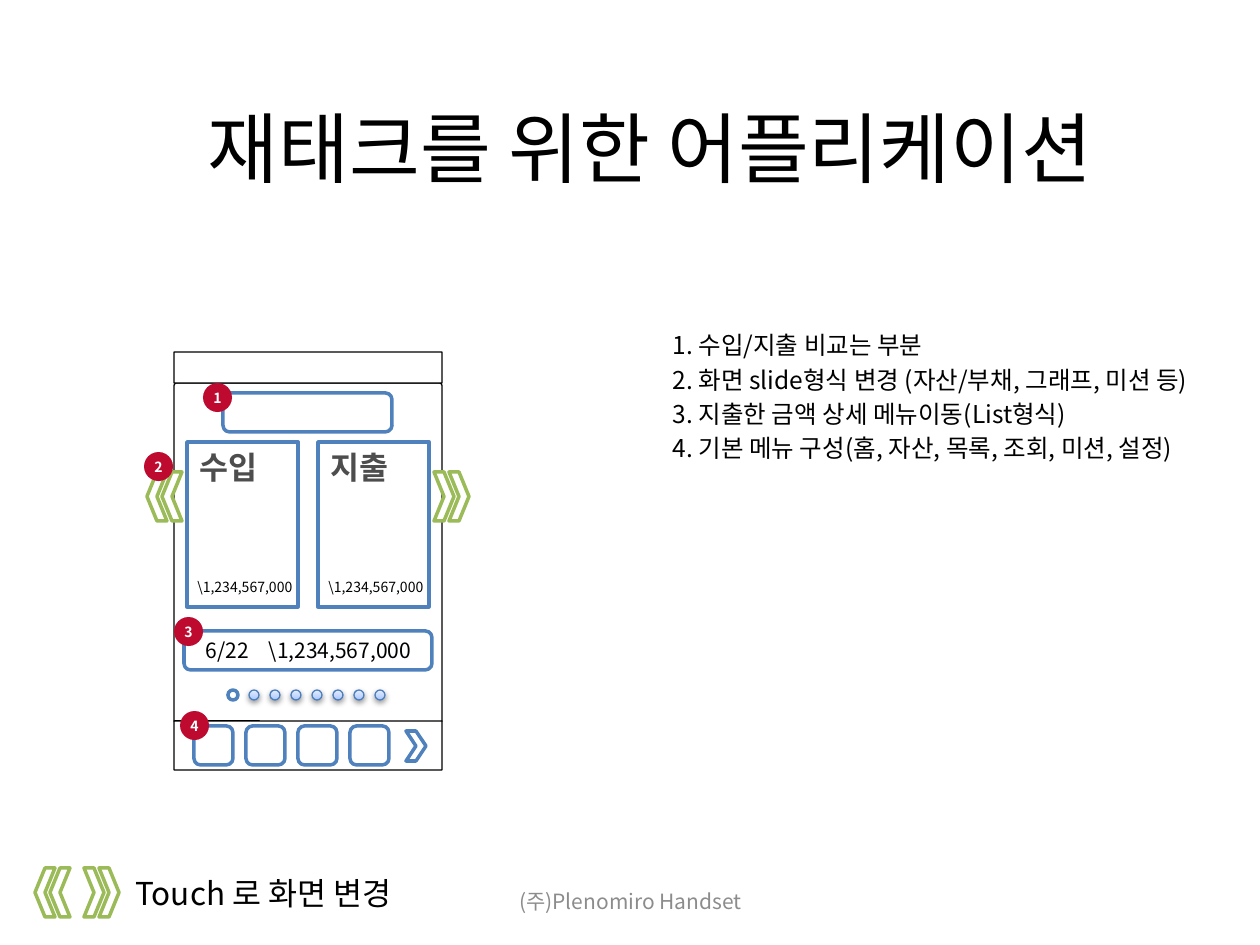
import pptx
import pptx.dml.color
import pptx.enum.shapes
import pptx.enum.text
import pptx.oxml.ns
import pptx.util
from dataclasses import dataclass
from lxml import etree

SHAPE = pptx.enum.shapes.MSO_SHAPE
ALIGN = pptx.enum.text.PP_ALIGN
ANCHOR = pptx.enum.text.MSO_ANCHOR
qn = pptx.oxml.ns.qn
EMU_PER_PX = 914400 / 126


@dataclass(frozen=True)
class Theme:
    font: str = "Noto Sans CJK KR"
    heading_font: str = "Arial"
    black: str = "000000"
    white: str = "FFFFFF"
    blue: str = "4F81BD"
    green: str = "9BBB59"
    red: str = "BF0A30"
    heading: str = "4D4D4D"
    muted: str = "8C8C8C"
    dot_line: str = "4B7EBC"
    dot_stops: tuple = ((0, "A4C4FF"), (35, "BFD4FF"), (100, "E6EEFF"))
    title_size: int = 44
    large_size: int = 18
    list_size: int = 14
    medium_size: int = 12
    small_size: int = 8
    thin: float = 0.75
    thick: float = 2


THEME = Theme()


def px(length):
    return pptx.util.Emu(round(length * EMU_PER_PX))


def rgb(value):
    return pptx.dml.color.RGBColor.from_string(value)


def place(shape, left, top, width, height):
    shape.left, shape.top = px(left), px(top)
    shape.width, shape.height = px(width), px(height)


def format_text(text_frame, size, color=THEME.black, font=THEME.font, bold=False,
                align=ALIGN.LEFT, anchor=ANCHOR.TOP, wrap=True):
    text_frame.auto_size = pptx.enum.text.MSO_AUTO_SIZE.NONE
    text_frame.word_wrap = wrap
    text_frame.vertical_anchor = anchor
    for paragraph in text_frame.paragraphs:
        paragraph.alignment = align
        for run in paragraph.runs:
            run.font.size = pptx.util.Pt(size)
            run.font.bold = bold
            run.font.color.rgb = rgb(color)
            run.font.name = font
            east_asian = etree.Element(qn("a:ea"), typeface=font)
            run.font._element.find(qn("a:latin")).addnext(east_asian)


def add_shape(shapes, kind, box, fill=THEME.white, line=THEME.blue, line_width=THEME.thick):
    shape = shapes.add_shape(kind, *map(px, box))
    shape.shadow.inherit = False
    shape.fill.solid()
    shape.fill.fore_color.rgb = rgb(fill)
    if line:
        shape.line.color.rgb = rgb(line)
        shape.line.width = pptx.util.Pt(line_width)
    else:
        shape.line.fill.background()
    return shape


def add_label(shapes, box, text, size, **text_format):
    label = shapes.add_textbox(*map(px, box))
    label.text_frame.text = text
    format_text(label.text_frame, size, **text_format)


def add_frame(shapes, left, top, width, height):
    frame = add_shape(shapes, SHAPE.ROUNDED_RECTANGLE, (left, top, width, height),
                      line=THEME.black, line_width=THEME.thin)
    frame.adjustments[0] = 0.01


def add_arrow_pair(slide, left, top, flipped=False):
    group = slide.shapes.add_group_shape()
    offsets = (15, 0) if flipped else (0, 15)
    for offset in offsets:
        chevron = add_shape(group.shapes, SHAPE.CHEVRON, (left + offset, top, 20, 49),
                            line=THEME.green)
        if flipped:
            chevron._element.spPr.find(qn("a:xfrm")).set("flipH", "1")


def style_inactive_dot(dot):
    dot.fill.gradient()
    dot.fill.gradient_angle = 90
    dot.line.color.rgb = rgb(THEME.dot_line)
    dot.line.width = pptx.util.Pt(THEME.thin)
    properties = dot._element.spPr
    stops = properties.find(".//" + qn("a:gsLst"))
    for stop in list(stops):
        stops.remove(stop)
    for position, color in THEME.dot_stops:
        stop = etree.SubElement(stops, qn("a:gs"), pos=str(position * 1000))
        etree.SubElement(stop, qn("a:srgbClr"), val=color)
    shadow = etree.SubElement(properties.find(qn("a:effectLst")), qn("a:outerShdw"),
                              blurRad="39370", dist="20320", dir="5400000", rotWithShape="0")
    shadow_color = etree.SubElement(shadow, qn("a:srgbClr"), val=THEME.black)
    etree.SubElement(shadow_color, qn("a:alpha"), val="38000")


def add_page_dots(slide, left, top, count=8):
    group = slide.shapes.add_group_shape()
    for index in range(count):
        dot = add_shape(group.shapes, SHAPE.OVAL, (left + 21 * index, top, 10, 10))
        if index:
            style_inactive_dot(dot)


def add_card(slide, left, top, heading):
    card = add_shape(slide.shapes, SHAPE.RECTANGLE, (left, top, 111, 165))
    card.text_frame.text = heading
    format_text(card.text_frame, THEME.large_size, THEME.heading, THEME.heading_font, True)
    add_label(slide.shapes, (left - 2, top + 130, 123, 30), "\\1,234,567,000",
              THEME.small_size, wrap=False)


def add_detail_bar(slide, left, top):
    bar = add_shape(slide.shapes, SHAPE.ROUNDED_RECTANGLE, (left, top, 248, 39))
    bar.text_frame.text = "6/22\t\\1,234,567,000"
    format_text(bar.text_frame, THEME.medium_size, anchor=ANCHOR.MIDDLE, wrap=False)
    bar.text_frame.margin_left = px(20)
    bar.text_frame.margin_right = 0
    bar.text_frame.word_wrap = True
    tabs = etree.SubElement(bar.text_frame.paragraphs[0]._p.get_or_add_pPr(), qn("a:tabLst"))
    etree.SubElement(tabs, qn("a:tab"), pos=str(px(63)), algn="l")


def add_badge(slide, left, top, number):
    badge = add_shape(slide.shapes, SHAPE.OVAL, (left, top, 29, 29), THEME.red, None)
    frame = badge.text_frame
    frame.text = str(number)
    frame.margin_left = frame.margin_right = frame.margin_top = frame.margin_bottom = 0
    format_text(frame, THEME.small_size, THEME.white, bold=True, align=ALIGN.CENTER,
                anchor=ANCHOR.MIDDLE, wrap=False)


def add_phone(slide, left, top, width):
    shapes = slide.shapes
    for offset, height in ((31, 340), (369, 49), (0, 31)):
        add_frame(shapes, left, top + offset, width, height)
    for offset, heading in ((13, "수입"), (144, "지출")):
        add_card(slide, left + offset, top + 90, heading)
    add_page_dots(slide, left + 54, top + 338)
    add_arrow_pair(slide, left + 260, top + 120)
    add_arrow_pair(slide, left - 27, top + 120, flipped=True)
    for index in range(4):
        add_shape(shapes, SHAPE.ROUNDED_RECTANGLE,
                  (left + 20 + 52 * index, top + 374, 39, 39))
    add_shape(shapes, SHAPE.CHEVRON, (left + 232, top + 379, 20, 30))
    add_detail_bar(slide, left + 10, top + 279)
    add_shape(shapes, SHAPE.ROUNDED_RECTANGLE, (left + 49, top + 41, 169, 39))
    badge_offsets = ((29, 31), (-30, 100), (0, 265), (6, 359))
    for number, (across, down) in enumerate(badge_offsets, 1):
        add_badge(slide, left + across, top + down, number)


def add_legend(slide, left, top):
    add_arrow_pair(slide, left, top, flipped=True)
    add_arrow_pair(slide, left + 49, top)
    add_label(slide.shapes, (left + 88, top, 314, 50), "Touch 로 화면 변경",
              THEME.large_size, wrap=False)


def fill_title(slide, box):
    title = slide.shapes.title
    place(title, *box)
    title.text_frame.text = "재태크를 위한 어플리케이션"
    format_text(title.text_frame, THEME.title_size, align=ALIGN.CENTER, anchor=ANCHOR.MIDDLE)


def fill_notes_list(slide, box):
    body = slide.placeholders[1]
    place(body, *box)
    body.text_frame.text = "\n".join((
        "1. 수입/지출 비교는 부분",
        "2. 화면 slide형식 변경 (자산/부채, 그래프, 미션 등)",
        "3. 지출한 금액 상세 메뉴이동(List형식)",
        "4. 기본 메뉴 구성(홈, 자산, 목록, 조회, 미션, 설정)",
    ))
    format_text(body.text_frame, THEME.list_size)
    for paragraph in body.text_frame.paragraphs:
        properties = paragraph._p.get_or_add_pPr()
        properties.set("marL", "0")
        properties.set("indent", "0")
        etree.SubElement(properties, qn("a:buNone"))


def main():
    presentation = pptx.Presentation()
    presentation.slide_width, presentation.slide_height = px(1260), px(945)
    slide = presentation.slides.add_slide(presentation.slide_layouts[1])
    fill_title(slide, (115, 45, 1071, 203))
    fill_notes_list(slide, (660, 324, 586, 466))
    add_phone(slide, 174, 352, 268)
    add_legend(slide, 35, 868)
    add_label(slide.shapes, (431, 876, 399, 50), "(주)Plenomiro Handset", THEME.medium_size,
              color=THEME.muted, align=ALIGN.CENTER, anchor=ANCHOR.MIDDLE)
    presentation.save("out.pptx")


if __name__ == "__main__":
    main()
